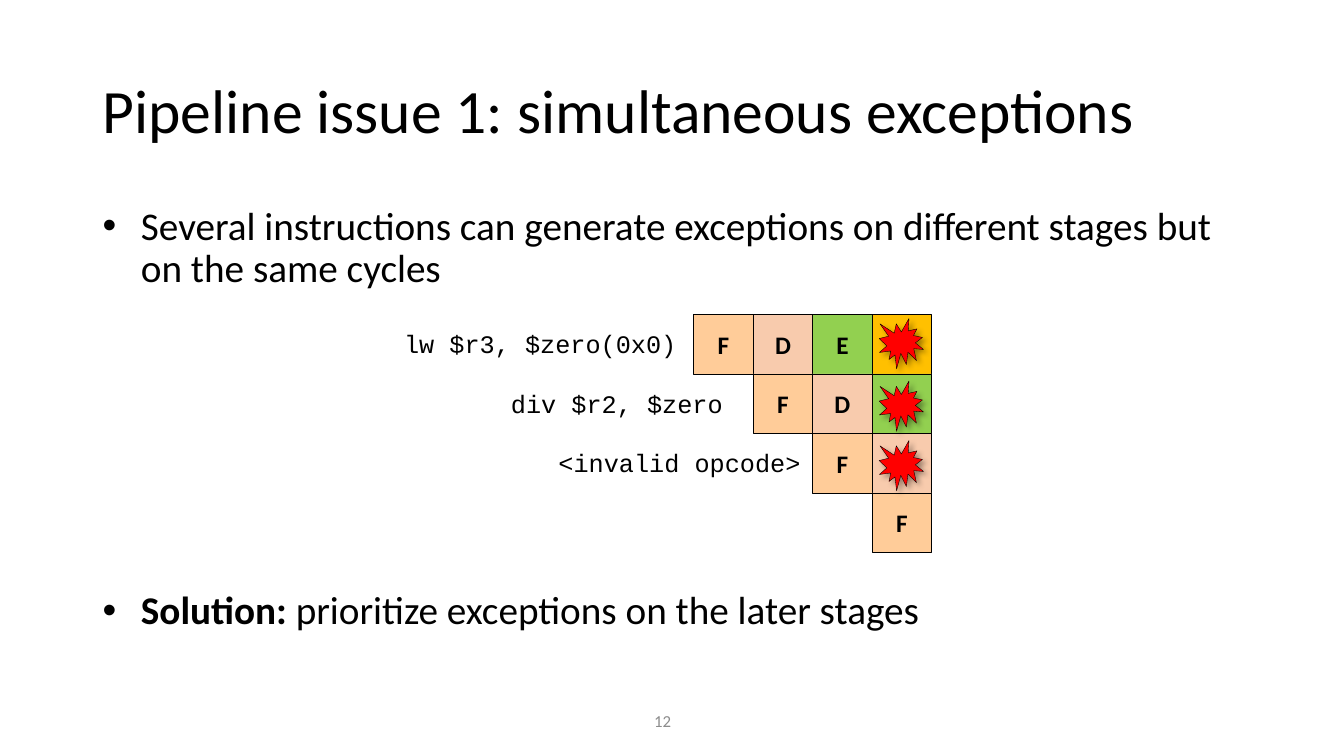
import lxml.etree
import pptx
import pptx.dml.color
import pptx.enum.shapes
import pptx.enum.text
import pptx.oxml.ns
import pptx.util

Inches = pptx.util.Inches
Pt = pptx.util.Pt
Shapes = pptx.enum.shapes.MSO_SHAPE
Align = pptx.enum.text.PP_ALIGN
Anchor = pptx.enum.text.MSO_ANCHOR
qn = pptx.oxml.ns.qn

COLORS = {
    "ink": "000000",
    "page_number": "8C8C8C",
    "fetch": "FFCC99",
    "decode": "F8CBAD",
    "execute": "92D050",
    "memory": "FFC000",
    "exception": "FF0000",
}
STAGES = [("F", "fetch"), ("D", "decode"), ("E", "execute"), ("M", "memory")]
INSTRUCTIONS = [
    ("lw $r3, $zero(0x0)", 3.91, 3.16),
    ("div $r2, $zero", 4.97, 3.78),
    ("<invalid opcode>", 5.44, 4.37),
]
CELL = 0.59
GRID_LEFT = 6.88
GRID_TOP = 3.12


def set_all(target, values):
    for name, value in values.items():
        setattr(target, name, value)


def color(name):
    return pptx.dml.color.RGBColor.from_string(COLORS[name])


class SlideBuilder:
    def __init__(self, page, font="Calibri", code_font="Courier New"):
        self.page = page
        self.font = font
        self.code_font = code_font

    def span(self, para, text, size, font=None, ink="ink", bold=False):
        span = para.add_run()
        span.text = text
        set_all(span.font, {"name": font or self.font, "size": Pt(size), "bold": bold})
        span.font.color.rgb = color(ink)

    def frame(self, left, top, width, height, anchor=Anchor.TOP):
        box = self.page.shapes.add_textbox(
            Inches(left), Inches(top), Inches(width), Inches(height))
        set_all(box.text_frame, {"word_wrap": True, "vertical_anchor": anchor})
        return box.text_frame

    def text(self, text, place, size, anchor=Anchor.TOP, spacing=1.0, **style):
        para = self.frame(*place, anchor=anchor).paragraphs[0]
        para.line_spacing = spacing
        self.span(para, text, size, **style)

    def bullets(self, place, items, size):
        frame = self.frame(*place)
        for index, (gap, spans) in enumerate(items):
            para = frame.add_paragraph() if index else frame.paragraphs[0]
            properties = para._p.get_or_add_pPr()
            properties.set("marL", str(Inches(0.38)))
            properties.set("indent", str(Inches(-0.38)))
            lxml.etree.SubElement(properties, qn("a:buFont")).set("typeface", "Arial")
            lxml.etree.SubElement(properties, qn("a:buChar")).set("char", "•")
            set_all(para, {"line_spacing": 0.9, "space_before": Pt(gap)})
            for text, bold in spans:
                self.span(para, text, size, bold=bold)

    def shape(self, kind, left, top, width, height, fill):
        shape = self.page.shapes.add_shape(
            kind, Inches(left), Inches(top), Inches(width), Inches(height))
        shape.shadow.inherit = False
        shape.fill.solid()
        shape.fill.fore_color.rgb = color(fill)
        shape.line.color.rgb = color("ink")
        shape.line.width = Pt(0.25)
        return shape

    def stage(self, row, column, letter, fill):
        cell = self.shape(Shapes.RECTANGLE, GRID_LEFT + CELL * column,
                          GRID_TOP + CELL * row, CELL, CELL, fill)
        if letter:
            set_all(cell.text_frame, {"word_wrap": False, "vertical_anchor": Anchor.MIDDLE})
            para = cell.text_frame.paragraphs[0]
            para.alignment = Align.CENTER
            self.span(para, letter, 18, bold=True)

    def burst(self, left, top):
        burst = self.shape(Shapes.EXPLOSION1, left, top, 0.44, 0.5, "exception")
        effects = burst._element.spPr.find(qn("a:effectLst"))
        shadow = lxml.etree.SubElement(effects, qn("a:outerShdw"))
        for name, value in {"blurRad": Pt(4), "dist": Pt(3), "dir": 45 * 60000,
                            "algn": "tl", "rotWithShape": 0}.items():
            shadow.set(name, str(value))
        tint = lxml.etree.SubElement(shadow, qn("a:srgbClr"))
        tint.set("val", COLORS["ink"])
        lxml.etree.SubElement(tint, qn("a:alpha")).set("val", "40000")


def main():
    deck = pptx.Presentation()
    set_all(deck, {"slide_width": Inches(13.33), "slide_height": Inches(7.5)})
    slide = SlideBuilder(deck.slides.add_slide(deck.slide_layouts[6]))

    slide.text("12", (6.39, 6.95, 0.79, 0.4), 12, Anchor.MIDDLE, ink="page_number")
    slide.text("Pipeline issue 1: simultaneous exceptions",
               (0.92, 0.4, 11.5, 1.45), 44, Anchor.MIDDLE, 0.9)
    slide.bullets((0.92, 2, 11.5, 4.52), [
        (0, [("Several instructions can generate exceptions on different stages "
              "but on the same cycles", False)]),
        (214, [("Solution: ", True),
               ("prioritize exceptions on the later stages", False)]),
    ], 28)

    last = len(STAGES) - 1
    for row in range(len(STAGES)):
        for column in range(row, len(STAGES)):
            letter, fill = STAGES[column - row]
            raises = column == last and row < len(INSTRUCTIONS)
            slide.stage(row, column, "" if raises else letter, fill)

    for row, (code, left, burst_top) in enumerate(INSTRUCTIONS):
        slide.text(code, (left, GRID_TOP + CELL * row + 0.09, 2.97, 0.4), 18,
                   font=slide.code_font)
        slide.burst(8.72, burst_top)

    deck.save("out.pptx")


if __name__ == "__main__":
    main()
